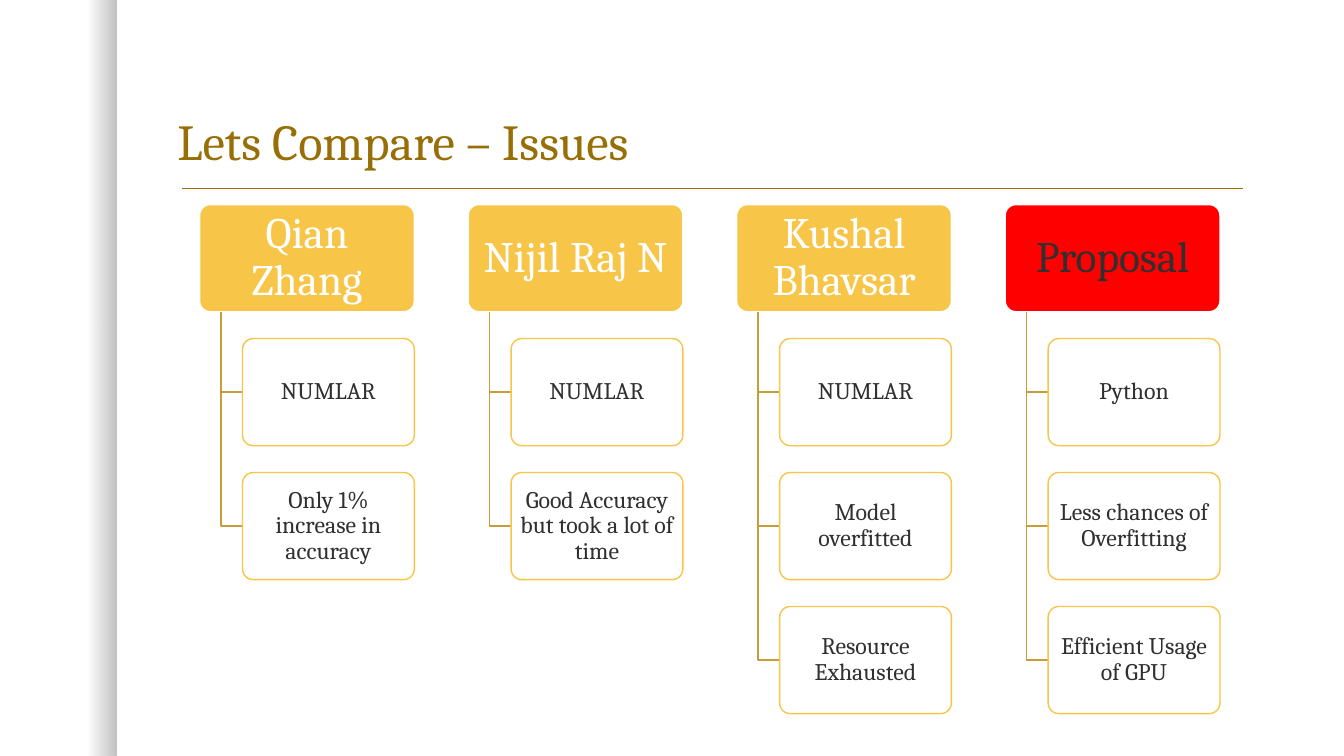
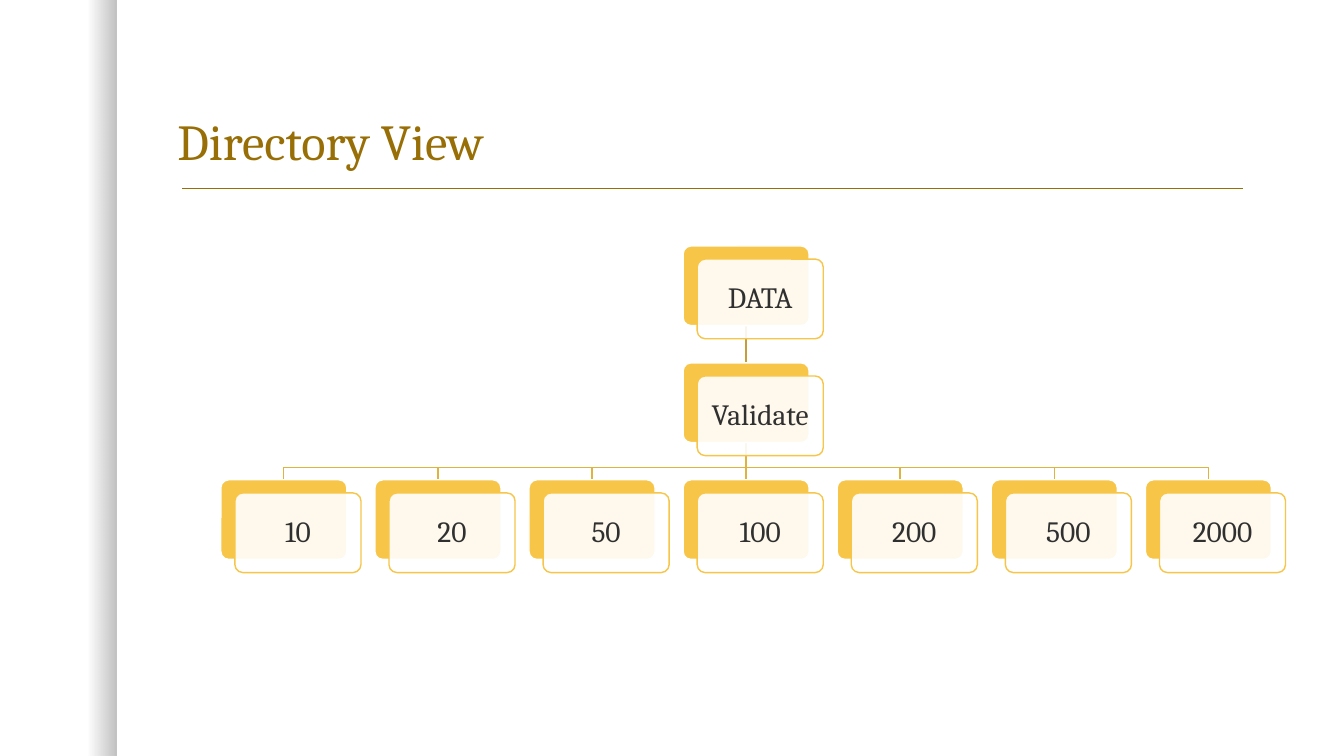
from lxml.etree import SubElement
from pptx import Presentation
from pptx.dml.color import RGBColor
from pptx.enum.shapes import MSO_CONNECTOR as CONN, MSO_SHAPE as SHAPE
from pptx.enum.text import MSO_ANCHOR as ANCHOR, MSO_AUTO_SIZE as AUTO, PP_ALIGN as ALIGN
from pptx.oxml.ns import qn
from pptx.util import Inches, Pt

WHITE = RGBColor(0xFF, 0xFF, 0xFF)
BLACK = RGBColor(0x00, 0x00, 0x00)
INK = RGBColor(0x30, 0x30, 0x30)
BROWN = RGBColor(0x98, 0x6F, 0x07)
GOLD = RGBColor(0xF7, 0xC5, 0x47)
RED = RGBColor(0xFF, 0x00, 0x00)
TRUNK = RGBColor(0xC6, 0x9E, 0x39)
BRANCH = RGBColor(0xE0, 0xB3, 0x40)
FONT = "Cambria"

TITLE_BOX = (1.66, 0.42, 10.75, 1.33)
COMPARE_BOX = (1.98, 2.03, 10.12, 5.05)
TREE_BOX = (2.19, 2.44, 10.56, 3.24)

COLUMNS = [
    ("Qian Zhang", ["NUMLAR", "Only 1% increase in accuracy"], GOLD, WHITE),
    ("Nijil Raj N", ["NUMLAR", "Good Accuracy but took a lot of time"], GOLD, WHITE),
    ("Kushal Bhavsar", ["NUMLAR", "Model overfitted", "Resource Exhausted"], GOLD, WHITE),
    ("Proposal", ["Python", "Less chances of Overfitting", "Efficient Usage of GPU"], RED, INK),
]
FOLDERS = ["10", "20", "50", "100", "200", "500", "2000"]


def inches(values):
    return [Inches(v) for v in values]


def set_format(obj, values):
    for name, value in values.items():
        setattr(obj, name, value)


def set_alpha(color, percent):
    SubElement(color, qn("a:alpha")).set("val", str(percent * 1000))


def write(tf, text, size, color, align):
    p = tf.paragraphs[0]
    set_format(p, {"alignment": align, "line_spacing": 0.9})
    r = p.add_run()
    r.text = text
    set_format(r.font, {"name": FONT, "size": Pt(size)})
    r.font.color.rgb = color


def add_card(s, box, fill, line, opacity=100):
    sp = s.shapes.add_shape(SHAPE.ROUNDED_RECTANGLE, *inches(box))
    sp.shadow.inherit = False
    sp.adjustments[0] = 0.1
    sp.fill.solid()
    sp.fill.fore_color.rgb = fill
    if opacity < 100:
        set_alpha(sp.element.spPr.find(qn("a:solidFill"))[0], opacity)
    sp.line.color.rgb = line
    sp.line.width = Pt(1)
    return sp


def label(sp, text, size, color, inset_x, inset_y):
    tf = sp.text_frame
    set_format(tf, {
        "word_wrap": True, "vertical_anchor": ANCHOR.MIDDLE,
        "margin_left": Inches(inset_x), "margin_right": Inches(inset_x),
        "margin_top": Inches(inset_y), "margin_bottom": Inches(inset_y),
    })
    write(tf, text, size, color, ALIGN.CENTER)


def add_line(s, start, end, color):
    line = s.shapes.add_connector(CONN.STRAIGHT, *inches(start + end))
    SubElement(line.element.spPr, qn("a:effectLst"))
    line.line.color.rgb = color
    line.line.width = Pt(1)


def add_elbow(s, points, color):
    start, *rest = [inches(point) for point in points]
    builder = s.shapes.build_freeform(*start)
    builder.add_line_segments(rest, close=False)
    sp = builder.convert_to_shape()
    sp.shadow.inherit = False
    sp.fill.background()
    sp.line.color.rgb = color
    sp.line.width = Pt(1)


def add_side_band(s):
    band = s.shapes.add_shape(SHAPE.RECTANGLE, *inches((0, 0, 1.16, 7.5)))
    band.shadow.inherit = False
    band.line.fill.background()
    band.fill.gradient()
    band.fill.gradient_angle = 0
    for stop, position in zip(band.fill.gradient_stops, (0.75, 1)):
        stop.position = position
        stop.color.rgb = BLACK
    for color, percent in zip(band.element.spPr.iter(qn("a:srgbClr")), (0, 25)):
        set_alpha(color, percent)


def add_titled_slide(prs, title):
    s = prs.slides.add_slide(prs.slide_layouts[5])
    add_side_band(s)
    add_line(s, (1.81, 1.87), (12.33, 1.87), BROWN)
    sp = s.shapes.title
    set_format(sp, dict(zip(("left", "top", "width", "height"), inches(TITLE_BOX))))
    set_format(sp.text_frame, {
        "word_wrap": True, "auto_size": AUTO.NONE, "vertical_anchor": ANCHOR.BOTTOM,
    })
    write(sp.text_frame, title, 36, BROWN, ALIGN.LEFT)
    return s


def add_column(s, box, column):
    left, top, width, row_h = box
    name, issues, fill, color = column
    pitch = row_h * 1.25
    trunk_x, issue_x = left + width * 0.1, left + width * 0.2
    header = add_card(s, box, fill, WHITE)
    label(header, name, 31, color, 0.06, 0.04)
    for i, issue in enumerate(issues, 1):
        y = top + i * pitch
        mid = y + row_h / 2
        add_elbow(s, [(trunk_x, top + row_h), (trunk_x, mid), (issue_x, mid)], TRUNK)
        card = add_card(s, (issue_x, y, width * 0.8, row_h), WHITE, GOLD, 90)
        label(card, issue, 17, INK, 0.04, 0.02)


def add_comparison(s, box, columns):
    left, top, width, height = box
    col_w = 2.13
    pitch = (width - col_w) / (len(columns) - 1)
    row_h = height / 4.75
    for i, column in enumerate(columns):
        add_column(s, (left + i * pitch, top, col_w, row_h), column)


def add_node(s, x, y, w, h, text):
    add_card(s, (x, y, w, h), GOLD, WHITE)
    face = add_card(s, (x + 0.14, y + 0.13, w, h), WHITE, GOLD, 90)
    label(face, text, 21, INK, 0.09, 0.09)


def add_directory_tree(s, box, root, parent, children):
    left, top, width, height = box
    w, h = 1.25, 0.79
    pitch = (width - w - 0.14) / (len(children) - 1)
    level = (height - h - 0.13) / 2
    root_x = left + pitch * (len(children) - 1) / 2
    parent_y, child_y = top + level, top + 2 * level
    mid_x, bus_y = root_x + w / 2, child_y - 0.12
    xs = [left + i * pitch for i in range(len(children))]

    for x in xs:
        cx = x + w / 2
        if abs(cx - mid_x) < 0.01:
            add_line(s, (mid_x, parent_y + h), (mid_x, child_y), BRANCH)
        else:
            add_elbow(s, [(mid_x, parent_y + h), (mid_x, bus_y), (cx, bus_y), (cx, child_y)], BRANCH)
    add_line(s, (mid_x, top + h), (mid_x, parent_y), TRUNK)

    add_node(s, root_x, top, w, h, root)
    add_node(s, root_x, parent_y, w, h, parent)
    for x, child in zip(xs, children):
        add_node(s, x, child_y, w, h, child)


def main():
    prs = Presentation()
    prs.slide_width, prs.slide_height = Inches(13.33), Inches(7.5)
    add_comparison(add_titled_slide(prs, "Lets Compare – Issues"), COMPARE_BOX, COLUMNS)
    add_directory_tree(add_titled_slide(prs, "Directory View"), TREE_BOX, "DATA", "Validate", FOLDERS)
    prs.save("out.pptx")


if __name__ == "__main__":
    main()
